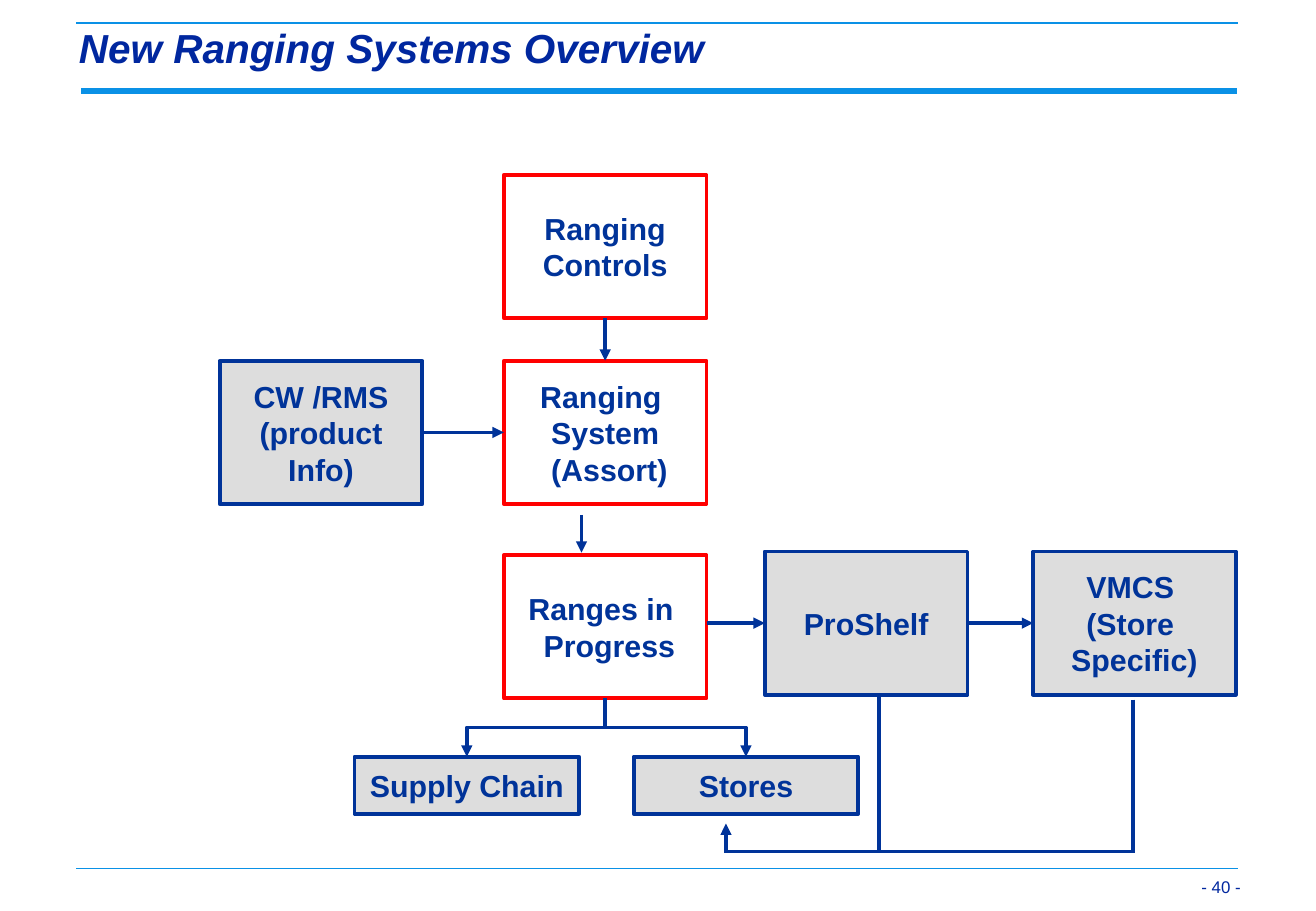
"""Builds the New Ranging Systems Overview flow diagram slide."""
import pptx
import pptx.dml.color
import pptx.enum.shapes
import pptx.enum.text
import pptx.oxml
import pptx.oxml.ns
import pptx.util

Inches = pptx.util.Inches
Pt = pptx.util.Pt
RGBColor = pptx.dml.color.RGBColor
Anchor = pptx.enum.text.MSO_ANCHOR
Align = pptx.enum.text.PP_ALIGN
Link = pptx.enum.shapes.MSO_CONNECTOR

NAVY = RGBColor(0x00, 0x33, 0x99)
TITLE_BLUE = RGBColor(0x00, 0x27, 0x9F)
RULE_BLUE = RGBColor(0x0A, 0x91, 0xE6)
RED = RGBColor(0xFF, 0x00, 0x00)
GREY = RGBColor(0xDD, 0xDD, 0xDD)
WHITE = RGBColor(0xFF, 0xFF, 0xFF)

TOP, LEFT, BOTTOM, RIGHT = range(4)
BIG = (1.67, 1.18)
SMALL = (1.85, 0.47)
BOXES = {
    "controls": (4.15, 1.44, BIG, WHITE, RED, "Ranging\nControls"),
    "system": (4.15, 2.97, BIG, WHITE, RED, "Ranging \nSystem\n (Assort)"),
    "progress": (4.15, 4.57, BIG, WHITE, RED, "Ranges in \n Progress"),
    "product": (1.81, 2.97, BIG, GREY, NAVY, "CW /RMS\n(product\nInfo)"),
    "planning": (6.3, 4.54, BIG, GREY, NAVY, "ProShelf"),
    "vmcs": (8.51, 4.54, BIG, GREY, NAVY, "VMCS \n(Store \nSpecific)"),
    "supply": (2.92, 6.23, SMALL, GREY, NAVY, "Supply Chain"),
    "stores": (5.22, 6.23, SMALL, GREY, NAVY, "Stores"),
}
RULES = [(0.63, 0.19, 10.2, 1), (0.67, 0.75, 10.19, 4), (0.63, 7.15, 10.2, 1)]
LINKS = [
    ("controls", BOTTOM, "system", TOP),
    ("product", RIGHT, "system", LEFT),
    ("planning", RIGHT, "vmcs", LEFT),
]
FREE_LINES = [
    (4.79, 4.24, 4.79, 4.55, True),
    (7.24, 5.74, 7.24, 7.01, False),
    (9.33, 5.76, 9.33, 7.02, False),
    (9.34, 7.01, 5.98, 7.01, False),
    (5.98, 7.02, 5.98, 6.78, True),
]
BOX_FONT = {"name": "Arial", "size": Pt(18), "bold": True}
TITLE_FONT = {"name": "Arial", "size": Pt(24), "bold": True, "italic": True}
NUMBER_FONT = {"name": "Arial", "size": Pt(10)}
TIGHT = {
    "margin_left": Inches(0.07), "margin_right": Inches(0.07),
    "margin_top": Inches(0.03), "margin_bottom": Inches(0.03),
    "vertical_anchor": Anchor.BOTTOM, "word_wrap": True,
    "auto_size": pptx.enum.text.MSO_AUTO_SIZE.NONE,
}
BOX_FRAME = {"vertical_anchor": Anchor.MIDDLE, "word_wrap": False}


def apply(target, values):
    for name, value in values.items():
        setattr(target, name, value)


def write(sp, text, frame, font, color, align):
    tf = sp.text_frame
    apply(tf, frame)
    tf.text = text
    for p in tf.paragraphs:
        p.alignment = align
        apply(p.font, font)
        p.font.color.rgb = color


def add_box(slide, x, y, size, fill, line, text):
    sp = slide.shapes.add_shape(
        pptx.enum.shapes.MSO_SHAPE.RECTANGLE,
        Inches(x), Inches(y), *map(Inches, size))
    sp.shadow.inherit = False
    sp.fill.solid()
    sp.fill.fore_color.rgb = fill
    sp.line.color.rgb = line
    sp.line.width = Pt(2.25)
    write(sp, text, BOX_FRAME, BOX_FONT, NAVY, Align.CENTER)
    return sp


def add_line(slide, x1, y1, x2, y2, arrow=False, color=NAVY, width=2.25,
             kind=Link.STRAIGHT):
    sp = slide.shapes.add_connector(kind, *map(Inches, (x1, y1, x2, y2)))
    sp.line.color.rgb = color
    sp.line.width = Pt(width)
    if arrow:
        ln = sp.line._get_or_add_ln()
        tail = pptx.oxml.parse_xml(
            f'<a:tailEnd {pptx.oxml.ns.nsdecls("a")} type="triangle"/>')
        ln.append(tail)
    sp._element.spPr.append(pptx.oxml.parse_xml(
        f'<a:effectLst {pptx.oxml.ns.nsdecls("a")}/>'))
    return sp


def add_link(slide, start, start_side, end, end_side, kind=Link.STRAIGHT):
    sp = add_line(slide, 0, 0, 1, 1, True, kind=kind)
    sp.begin_connect(start, start_side)
    sp.end_connect(end, end_side)
    return sp


def add_branch(slide, start, end):
    """Joins bottom to top by an elbow turned to leave downwards."""
    sp = add_link(slide, start, BOTTOM, end, TOP, Link.ELBOW)
    x, y, w, h = sp.left, sp.top, sp.width, sp.height
    to_right = sp.end_x > sp.begin_x
    apply(sp, {"left": x + (w - h) // 2, "top": y + (h - w) // 2,
               "width": h, "height": w})
    xfrm = sp._element.spPr.find(pptx.oxml.ns.qn("a:xfrm"))
    xfrm.set("rot", "16200000" if to_right else "5400000")
    xfrm.set("flipH", "1" if to_right else "0")


def add_title(slide):
    title = slide.shapes.title
    apply(title, {"left": Inches(0.58), "top": Inches(0.19),
                  "width": Inches(9.63), "height": Inches(0.44)})
    write(title, "New Ranging Systems Overview", TIGHT, TITLE_FONT,
          TITLE_BLUE, Align.LEFT)
    title.text_frame.paragraphs[0].line_spacing = 0.97


def add_page_number(slide):
    sp = slide.shapes.add_textbox(*map(Inches, (9.69, 7.02, 0.6, 0.39)))
    write(sp, "- 40 -", TIGHT, NUMBER_FONT, TITLE_BLUE, Align.RIGHT)


def main():
    prs = pptx.Presentation()
    prs.slide_width, prs.slide_height = Inches(10.84), Inches(7.5)
    slide = prs.slides.add_slide(prs.slide_layouts[5])
    add_title(slide)
    for x1, y, x2, width in RULES:
        add_line(slide, x1, y, x2, y, color=RULE_BLUE, width=width)
    add_page_number(slide)
    boxes = {name: add_box(slide, *box) for name, box in BOXES.items()}
    for start, start_side, end, end_side in LINKS:
        add_link(slide, boxes[start], start_side, boxes[end], end_side)
    for name in ("supply", "stores"):
        add_branch(slide, boxes["progress"], boxes[name])
    for line in FREE_LINES:
        add_line(slide, *line)
    sp = add_line(slide, 5.82, 5.13, 6.3, 5.13, True)
    sp.end_connect(boxes["planning"], LEFT)
    prs.save("out.pptx")


if __name__ == "__main__":
    main()
